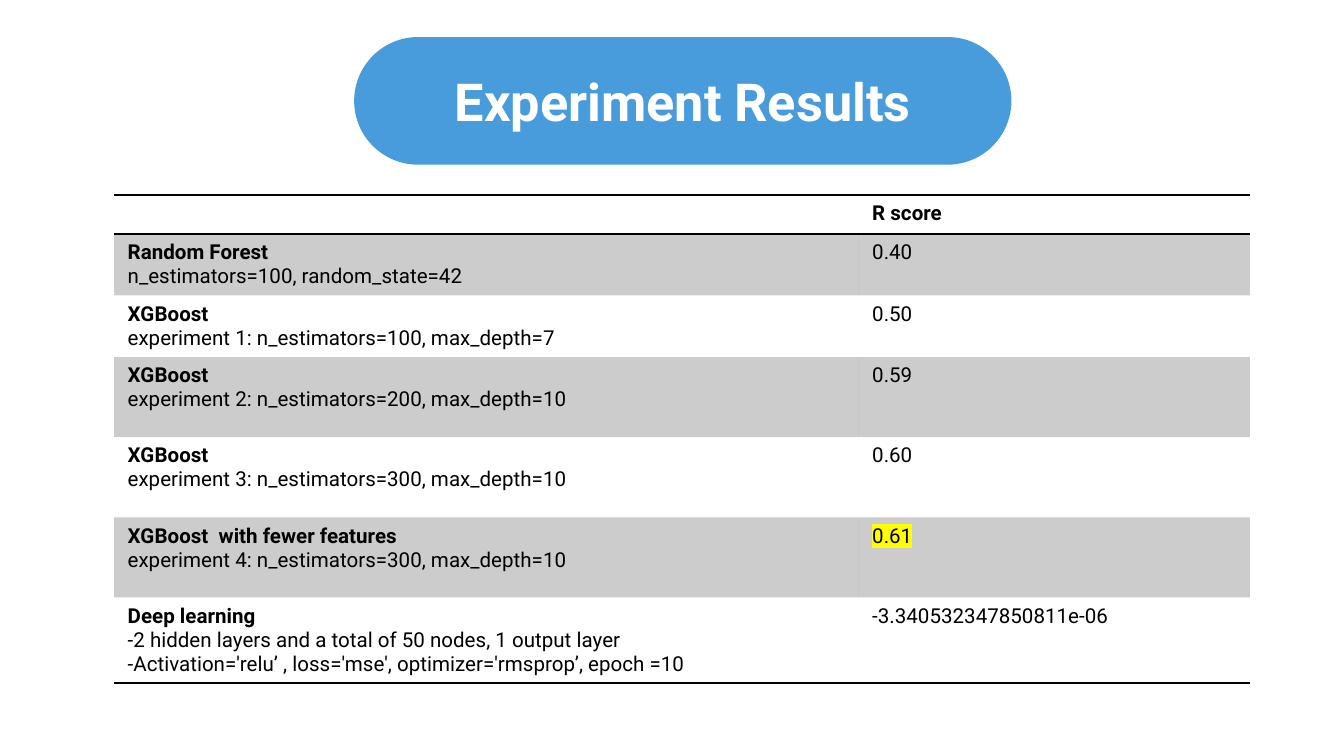
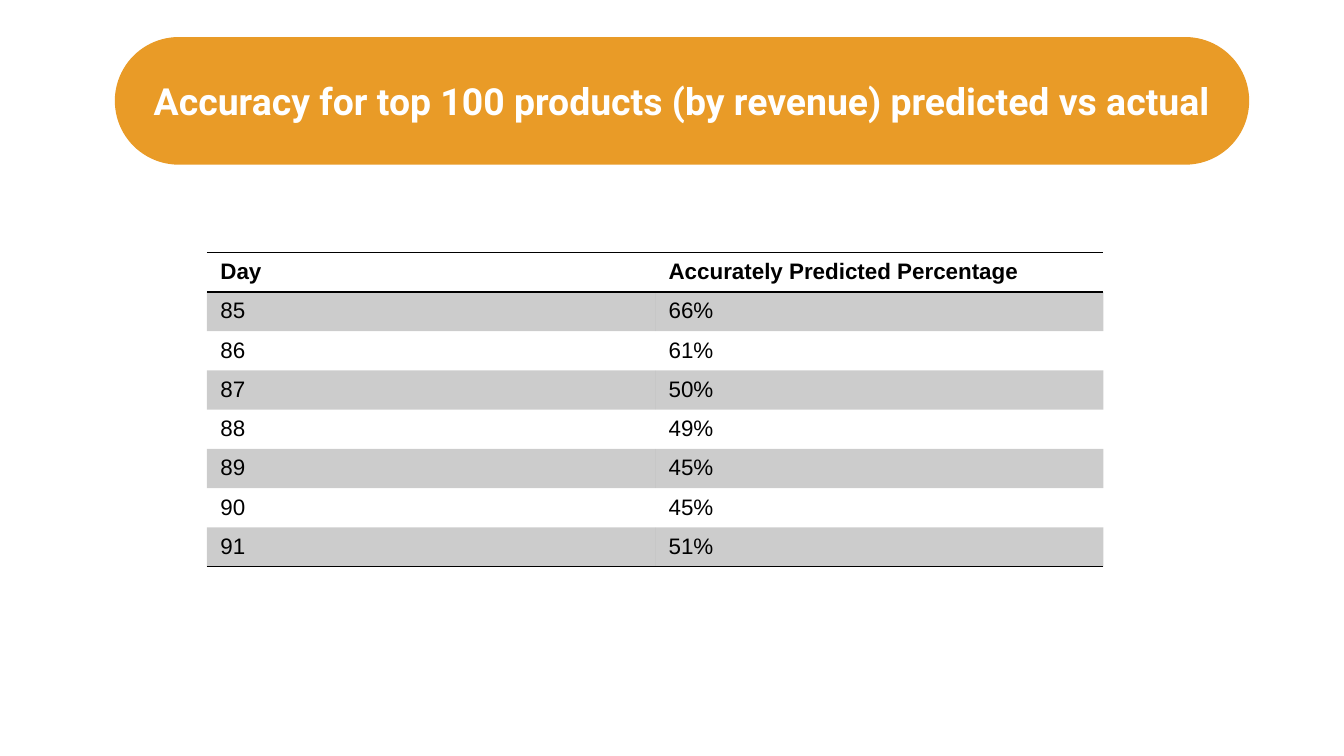
"""Build two result slides: a pill-shaped title above a striped table."""
from dataclasses import dataclass

from lxml.etree import SubElement
from pptx import Presentation
from pptx.dml.color import RGBColor as Color
from pptx.enum.shapes import MSO_SHAPE as Preset
from pptx.enum.text import MSO_ANCHOR as Anchor, MSO_AUTO_SIZE as AutoSize, PP_ALIGN as Align
from pptx.oxml.ns import qn
from pptx.util import Inches, Pt


@dataclass(frozen=True)
class Theme:
    blue: str = "499CDB"
    orange: str = "E99B27"
    white: str = "FFFFFF"
    ink: str = "000000"
    marker: str = "FFFF00"
    stripe_alpha: str = "20000"
    rule_width: int = 1
    heading_font: str = "Roboto"
    plain_font: str = "Arial"
    no_grid_style: str = "{2D5ABB26-0587-4C30-8999-92F81FD0307C}"


theme = Theme()
deck = Presentation()
deck.slide_width = Inches(10)
deck.slide_height = deck.slide_width * 9 // 16
column, row = deck.slide_width / 100, deck.slide_height / 100
TITLE_TOP, TITLE_HEIGHT = 5, 16.7

slides = [
    dict(
        title="Experiment Results", title_size=28, title_color=theme.blue,
        title_left=26.4, title_width=48.8,
        left=8.5, top=25.8, widths=[55.4, 29.1],
        heights=[5, 8.15, 8.15, 10.6, 10.6, 10.6, 11.3],
        font=theme.heading_font, size=11, bold_lead=True, marked="0.61",
        rows=[
            ("", "R score"),
            ("Random Forest\nn_estimators=100, random_state=42", "0.40"),
            ("XGBoost\nexperiment 1: n_estimators=100, max_depth=7", "0.50"),
            ("XGBoost\nexperiment 2: n_estimators=200, max_depth=10", "0.59"),
            ("XGBoost\nexperiment 3: n_estimators=300, max_depth=10", "0.60"),
            ("XGBoost  with fewer features\nexperiment 4: n_estimators=300, max_depth=10", "0.61"),
            ("Deep learning\n-2 hidden layers and a total of 50 nodes, 1 output layer\n"
             "-Activation='relu’ , loss='mse', optimizer='rmsprop’, epoch =10",
             "-3.340532347850811e-06"),
        ],
    ),
    dict(
        title="Accuracy for top 100 products (by revenue) predicted vs actual",
        title_size=20, title_color=theme.orange, title_left=8.6, title_width=84.3,
        left=15.4, top=33.4, widths=[33.35] * 2, heights=[5.2] * 8,
        font=theme.plain_font, size=12, bold_lead=False, marked=None,
        rows=[
            ("Day", "Accurately Predicted Percentage"),
            ("85", "66%"), ("86", "61%"), ("87", "50%"), ("88", "49%"),
            ("89", "45%"), ("90", "45%"), ("91", "51%"),
        ],
    ),
]


def style_run(span, font, size, color, bold):
    """Set the typeface, size, colour and weight of a run."""
    span.font.name, span.font.size, span.font.bold = font, Pt(size), bold
    span.font.color.rgb = Color.from_string(color)


def add_rule(cell, side):
    """Draw a thin line on one side of a table cell."""
    line = SubElement(cell._tc.get_or_add_tcPr(), qn(f"a:{side}"), w=str(Pt(theme.rule_width)))
    fill = SubElement(line, qn("a:solidFill"))
    SubElement(fill, qn("a:srgbClr"), val=theme.ink)


for content in slides:
    page = deck.slides.add_slide(deck.slide_layouts[5])

    frame = [int(content["title_left"] * column), int(TITLE_TOP * row),
             int(content["title_width"] * column), int(TITLE_HEIGHT * row)]
    pill = page.shapes.add_shape(Preset.ROUNDED_RECTANGLE, *frame)
    pill.adjustments[0] = 0.5
    pill.shadow.inherit = False
    pill.fill.solid()
    pill.fill.fore_color.rgb = Color.from_string(content["title_color"])
    pill.line.color.rgb = Color.from_string(content["title_color"])
    pill.line.width = Pt(0.75)

    title = page.shapes.title
    title.left, title.top, title.width, title.height = frame
    title.element.addprevious(pill.element)
    box = title.text_frame
    box.text = content["title"]
    box.word_wrap, box.auto_size = True, AutoSize.NONE
    box.vertical_anchor = Anchor.MIDDLE
    box.margin_left = box.margin_right = box.margin_top = box.margin_bottom = Inches(0.1)
    box.paragraphs[0].alignment = Align.CENTER
    style_run(box.paragraphs[0].runs[0], theme.heading_font, content["title_size"], theme.white, True)

    rows, widths, heights = content["rows"], content["widths"], content["heights"]
    holder = page.shapes.add_table(
        len(rows), len(widths), int(content["left"] * column), int(content["top"] * row),
        int(sum(widths) * column), int(sum(heights) * row))
    table = holder.table
    table.horz_banding = False
    for style in holder.element.iter(qn("a:tableStyleId")):
        style.text = theme.no_grid_style
    for table_column, width in zip(table.columns, widths):
        table_column.width = int(width * column)
    for table_row, height in zip(table.rows, heights):
        table_row.height = int(height * row)

    for row_index, texts in enumerate(rows):
        for column_index, text in enumerate(texts):
            cell = table.cell(row_index, column_index)
            cell.text_frame.text = text
            if row_index == 0:
                add_rule(cell, "lnT")
            if row_index in (0, len(rows) - 1):
                add_rule(cell, "lnB")
            if row_index % 2:
                cell.fill.solid()
                cell.fill.fore_color.rgb = Color.from_string(theme.ink)
                for tint in cell._tc.tcPr.find(qn("a:solidFill")):
                    SubElement(tint, qn("a:alpha"), val=theme.stripe_alpha)
            else:
                cell.fill.background()

            for line_index, para in enumerate(cell.text_frame.paragraphs):
                is_lead = content["bold_lead"] and column_index == line_index == 0
                for span in para.runs:
                    style_run(span, content["font"], content["size"], theme.ink, row_index == 0 or is_lead)
                    if text == content["marked"]:
                        properties = span.font._element
                        highlight = SubElement(properties, qn("a:highlight"))
                        SubElement(highlight, qn("a:srgbClr"), val=theme.marker)
                        properties.find(qn("a:latin")).addprevious(highlight)
                if not text:
                    SubElement(para._p, qn("a:endParaRPr"), sz=str(content["size"] * 100))

deck.save("out.pptx")
